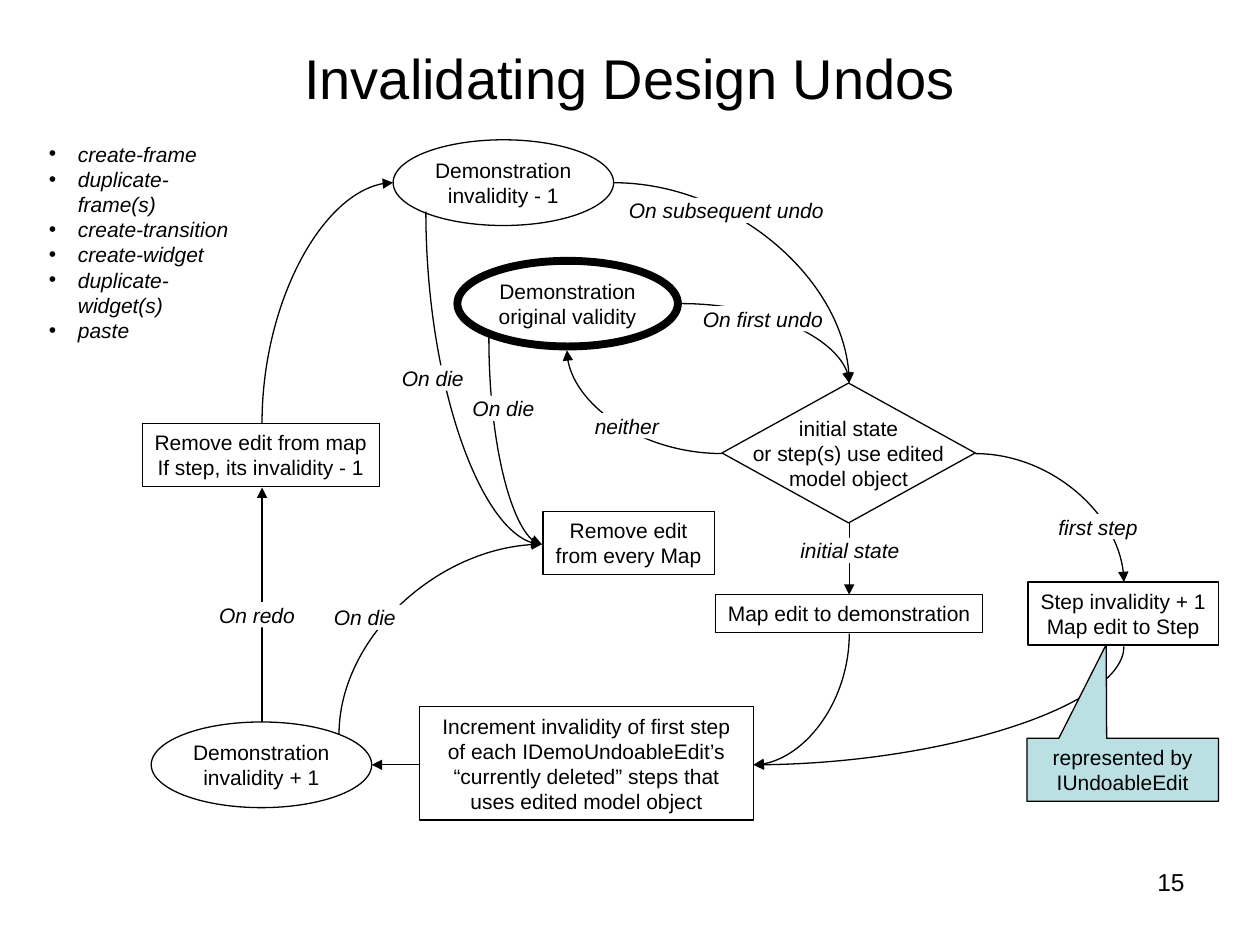
"""Flow chart of how demonstrations are invalidated when design edits are undone."""
from pptx import Presentation
from pptx.dml.color import RGBColor
from pptx.enum.shapes import MSO_CONNECTOR as CONN, MSO_SHAPE as SHAPE
from pptx.enum.text import MSO_ANCHOR as ANCHOR, PP_ALIGN as ALIGN
from pptx.oxml.ns import qn
from pptx.util import Inches, Pt
from lxml.etree import SubElement

BLACK, WHITE, TEAL = "000000", "FFFFFF", "BBE0E3"
TITLE = ("Invalidating Design Undos", (0.5, 0.3, 9, 0.62))
NUMBER = ("15", (7.75, 6.83, 1.75, 0.52))
EDITS = ["create-frame", "duplicate-frame(s)", "create-transition",
         "create-widget", "duplicate-widget(s)", "paste"]
EDITS_BOX = (0.29, 1.12, 1.65, 1.2)
OVAL, DIAMOND, RECT = SHAPE.OVAL, SHAPE.FLOWCHART_DECISION, SHAPE.RECTANGLE
LONGEST_LINE = 40

NODES = [
    (OVAL, (3.63, 2.07, 1.75, 0.68), ["Demonstration", "original validity"], 4.5),
    (OVAL, (1.2, 5.73, 1.75, 0.68), ["Demonstration", "invalidity + 1"], 0.75),
    (OVAL, (3.12, 1.11, 1.75, 0.68), ["Demonstration", "invalidity - 1"], 0.75),
    (DIAMOND, (5.73, 3.04, 2.01, 1.11),
     ["initial state", "or step(s) use edited", "model object"], 0.75),
    (RECT, (8.16, 4.62, 1.51, 0.5), ["Step invalidity + 1", "Map edit to Step"], 0.75),
    (RECT, (5.68, 4.72, 2.12, 0.3), ["Map edit to demonstration"], 0.75),
    (RECT, (1.13, 3.36, 1.88, 0.5),
     ["Remove edit from map", "If step, its invalidity - 1"], 0.75),
    (RECT, (4.31, 4.06, 1.36, 0.5), ["Remove edit", "from every Map"], 0.75),
    (RECT, (3.33, 5.61, 2.65, 0.9),
     ["Increment invalidity of first step of each IDemoUndoableEdit’s "
      "“currently deleted” steps that uses edited model object"], 0.75),
]
CALLOUT = ((8.15, 5.86, 1.52, 0.5), ["represented by", "IUndoableEdit"], (-0.086, -1.987))

CHOICE, REMOVE, INCREMENT = (6.74, 3.04), (4.3, 4.32), (5.98, 6.07)
FLOWS = [
    ("straight", (2.08, 5.73), (2.08, 3.87), "On redo", (1.64, 4.78, 0.8)),
    ("across", (5.41, 2.41), CHOICE, "On first undo", (5.48, 2.43, 1.15)),
    ("across", (5.73, 3.6), (4.5, 2.78), "neither", (4.62, 3.28, 0.71)),
    ("down", (6.74, 5.03), INCREMENT, None, None),
    ("across", (7.74, 3.6), (8.92, 4.62), "first step", (8.3, 4.08, 0.83)),
    ("down", (8.92, 5.13), INCREMENT, None, None),
    ("across", (4.87, 1.45), CHOICE, "On subsequent undo", (4.89, 1.57, 1.75)),
    ("down", (2.08, 3.36), (3.12, 1.45), None, None),
    ("straight", (6.74, 4.15), (6.74, 4.72), "initial state", (6.25, 4.27, 0.99)),
    ("straight", (3.33, 6.07), (2.95, 6.07), None, None),
    ("down", (2.69, 5.83), REMOVE, "On die", (2.55, 4.8, 0.69)),
    ("down", (3.38, 1.68), REMOVE, "On die", (3.09, 2.9, 0.69)),
    ("down", (3.88, 2.68), REMOVE, "On die", (3.65, 3.14, 0.69)),
]


def rgb(color):
    return RGBColor.from_string(color)


def write(sp, lines, align=ALIGN.CENTER, anchor=ANCHOR.MIDDLE, wrap=False,
          pad=0.05, bullet=False, **font):
    tf = sp.text_frame
    frame = dict(word_wrap=wrap, vertical_anchor=anchor,
                 margin_left=Inches(0.1), margin_right=Inches(0.1),
                 margin_top=Inches(pad), margin_bottom=Inches(pad))
    for name, value in frame.items():
        setattr(tf, name, value)
    for i, line in enumerate(lines):
        p = tf.add_paragraph() if i else tf.paragraphs[0]
        p.alignment = align
        if bullet:
            pPr = p._p.get_or_add_pPr()
            pPr.set("marL", str(Inches(0.23)))
            pPr.set("indent", str(-Inches(0.23)))
            SubElement(pPr, qn("a:buFont")).set("typeface", "Arial")
            SubElement(pPr, qn("a:buChar")).set("char", "•")
        r = p.add_run()
        r.text = line
        for name, value in {"size": Pt(12), "name": "Arial", **font}.items():
            setattr(r.font, name, value)
        r.font.color.rgb = rgb(BLACK)


def add_box(s, kind, box, fill=None, line=None):
    sp = s.shapes.add_shape(kind, *map(Inches, box))
    sp.shadow.inherit = False
    if fill:
        sp.fill.solid()
        sp.fill.fore_color.rgb = rgb(fill)
    else:
        sp.fill.background()
    if line:
        sp.line.color.rgb = rgb(BLACK)
        sp.line.width = Pt(line)
    else:
        sp.line.fill.background()
    return sp


def add_flow(s, route, start, end):
    (x1, y1), (x2, y2) = start, end
    if route == "down":
        cx, cy, dx, dy = (x1 + x2) / 2, (y1 + y2) / 2, y2 - y1, x1 - x2
        x1, y1, x2, y2 = cx - dx / 2, cy - dy / 2, cx + dx / 2, cy + dy / 2
    kind = CONN.STRAIGHT if route == "straight" else CONN.CURVE
    cn = s.shapes.add_connector(kind, *map(Inches, (x1, y1, x2, y2)))
    cn.line.color.rgb = rgb(BLACK)
    cn.line.width = Pt(0.75)
    spPr = cn._element.spPr
    if route != "straight":
        spPr.find(qn("a:prstGeom")).set("prst", "curvedConnector2")
    if route == "down":
        spPr.find(qn("a:xfrm")).set("rot", "5400000")
    SubElement(spPr.find(qn("a:ln")), qn("a:tailEnd")).set("type", "triangle")
    SubElement(spPr, qn("a:effectLst"))


def main():
    prs = Presentation()
    prs.slide_width, prs.slide_height = Inches(10), Inches(7.5)
    s = prs.slides.add_slide(prs.slide_layouts[6])

    text, box = TITLE
    write(s.shapes.add_textbox(*map(Inches, box)), [text], wrap=True, size=Pt(32))
    write(add_box(s, RECT, EDITS_BOX, WHITE), EDITS, align=ALIGN.LEFT,
          anchor=ANCHOR.TOP, wrap=True, pad=0, bullet=True, italic=True)

    for kind, box, lines, width in NODES:
        sp = add_box(s, kind, box, WHITE if kind == RECT else None, width)
        write(sp, lines, wrap=len(lines[0]) > LONGEST_LINE)

    for route, start, end, label, place in FLOWS:
        add_flow(s, route, start, end)
        if label:
            write(add_box(s, RECT, (*place, 0.2), WHITE), [label], pad=0, italic=True)

    box, lines, tip = CALLOUT
    sp = add_box(s, SHAPE.RECTANGULAR_CALLOUT, box, TEAL, 0.75)
    for i, value in enumerate(tip):
        sp.adjustments[i] = value
    write(sp, lines, wrap=True)

    text, box = NUMBER
    write(s.shapes.add_textbox(*map(Inches, box)), [text], align=ALIGN.RIGHT,
          anchor=ANCHOR.TOP, wrap=True, size=Pt(14))
    prs.save("out.pptx")


if __name__ == "__main__":
    main()
